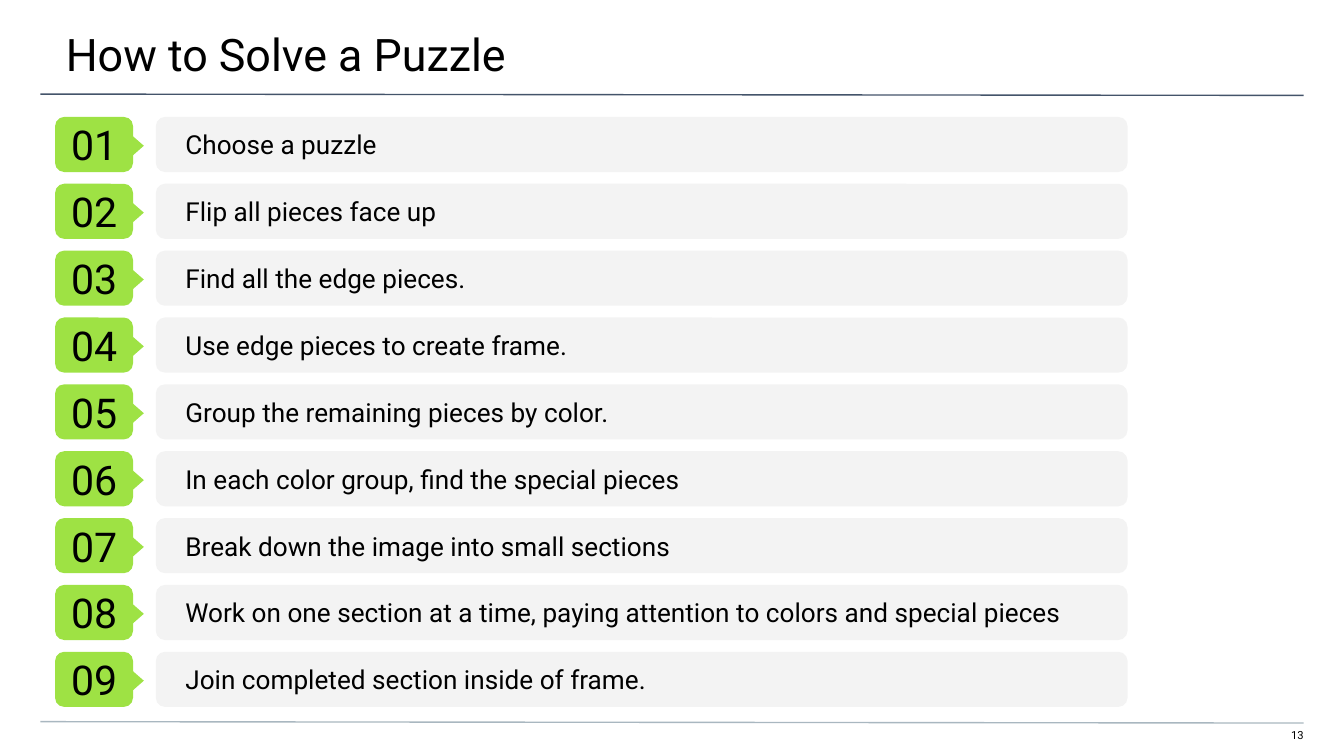
import dataclasses

import pptx
import pptx.dml.color
import pptx.enum.shapes
import pptx.enum.text
import pptx.oxml
import pptx.oxml.ns
import pptx.util

SHAPE = pptx.enum.shapes.MSO_SHAPE
ALIGN = pptx.enum.text.PP_ALIGN
ANCHOR = pptx.enum.text.MSO_ANCHOR

CELL = 0.1  # inches; the page is a grid of 100 columns by 56.25 rows
COLUMNS, ROWS = 100, 56.25

STEPS = [
    "Choose a puzzle",
    "Flip all pieces face up",
    "Find all the edge pieces.",
    "Use edge pieces to create frame.",
    "Group the remaining pieces by color.",
    "In each color group, find the special pieces",
    "Break down the image into small sections",
    "Work on one section at a time, paying attention to colors and special pieces",
    "Join completed section inside of frame.",
]


@dataclasses.dataclass(frozen=True)
class Theme:
    font: str = "Roboto"
    ink: str = "000000"
    accent: str = "9EE244"
    bar: str = "F3F3F3"
    header_rule: str = "44546A"
    footer_rule: str = "A9B7C0"
    title_size: float = 24
    number_size: float = 22
    step_size: float = 14
    page_number_size: float = 6
    rule_width: float = 0.75
    corner: float = 0.167


@dataclasses.dataclass(frozen=True)
class Box:
    """A rectangle in grid cells."""
    left: float
    top: float
    width: float
    height: float

    def lengths(self):
        return [cells(value) for value in (self.left, self.top, self.width, self.height)]


THEME = Theme()


def cells(count):
    return pptx.util.Inches(count * CELL)


def color(value):
    return pptx.dml.color.RGBColor.from_string(value)


def write(shape, text, size, insets, align=ALIGN.LEFT, anchor=ANCHOR.TOP):
    """Set one paragraph; insets are left, top, right and bottom in cells."""
    frame = shape.text_frame
    frame.word_wrap = True
    frame.vertical_anchor = anchor
    (frame.margin_left, frame.margin_top,
     frame.margin_right, frame.margin_bottom) = map(cells, insets)
    para = frame.paragraphs[0]
    para.text = text
    para.alignment = align
    para.font.name = THEME.font
    para.font.size = pptx.util.Pt(size)
    para.font.color.rgb = color(THEME.ink)


def add_filled(shapes, kind, box, fill):
    shape = shapes.add_shape(kind, *box.lengths())
    shape.shadow.inherit = False
    shape.fill.solid()
    shape.fill.fore_color.rgb = color(fill)
    shape.line.fill.background()
    if kind == SHAPE.ROUNDED_RECTANGLE:
        shape.adjustments[0] = THEME.corner
    return shape


def add_rule(page, box, line_color):
    """Draw a line from the top left to the bottom right of the box."""
    left, top, width, height = box.lengths()
    rule = page.shapes.add_connector(
        pptx.enum.shapes.MSO_CONNECTOR.STRAIGHT, left, top, left + width, top + height)
    rule.line.color.rgb = color(line_color)
    rule.line.width = pptx.util.Pt(THEME.rule_width)
    effects = pptx.oxml.parse_xml(f'<a:effectLst {pptx.oxml.ns.nsdecls("a")}/>')
    rule._element.spPr.append(effects)


def add_header(page, box):
    title = page.shapes.add_textbox(*box.lengths())
    write(title, "How to Solve a Puzzle", THEME.title_size, (5, 2, 3, 1))
    add_rule(page, Box(3, box.top + 7, 94, 0.1), THEME.header_rule)


def add_footer(page, box):
    add_rule(page, Box(box.left, box.top, box.width, 0.1), THEME.footer_rule)
    number_width = 2.9
    number = page.shapes.add_textbox(*Box(
        box.left + box.width - number_width, box.top + 0.5, number_width, 1.2).lengths())
    write(number, "13", THEME.page_number_size, (0, 0, 0, 1), ALIGN.RIGHT)


def add_badge(page, box, number):
    """Group a numbered tile with the pointer on its right edge."""
    group = page.shapes.add_group_shape()
    tile = add_filled(group.shapes, SHAPE.ROUNDED_RECTANGLE, box, THEME.accent)
    write(tile, f"{number:02}", THEME.number_size, (1, 1, 1, 1), ALIGN.CENTER, ANCHOR.MIDDLE)
    width, height = 2.8, 1.6
    pointer = add_filled(group.shapes, SHAPE.FLOWCHART_EXTRACT, Box(
        box.left + box.width - width / 2, box.top + (box.height - height) / 2 + 0.1,
        width, height), THEME.accent)
    pointer.rotation = 90


def add_step(page, box, number, text):
    badge_width, gap = 5.8, 1.7
    indent = badge_width + gap
    bar = add_filled(page.shapes, SHAPE.ROUNDED_RECTANGLE, Box(
        box.left + indent, box.top, box.width - indent, box.height), THEME.bar)
    write(bar, text, THEME.step_size, (2, 1, 1, 1), anchor=ANCHOR.MIDDLE)
    add_badge(page, Box(box.left, box.top, badge_width, box.height), number)


def add_steps(page, box):
    """Spread the steps evenly from the top to the bottom of the box."""
    row_height = 4.1
    pitch = (box.height - row_height) / (len(STEPS) - 1)
    for index, text in enumerate(STEPS):
        row = Box(box.left, box.top + index * pitch, box.width, row_height)
        add_step(page, row, index + 1, text)


def main():
    deck = pptx.Presentation()
    deck.slide_width, deck.slide_height = cells(COLUMNS), cells(ROWS)
    page = deck.slides.add_slide(deck.slide_layouts[6])
    add_header(page, Box(-0.1, 0, 100.3, 5.8))
    add_steps(page, Box(4.1, 8.7, 79.8, 43.9))
    add_footer(page, Box(3, 53.7, 94, 1.7))
    deck.save("out.pptx")


if __name__ == "__main__":
    main()
